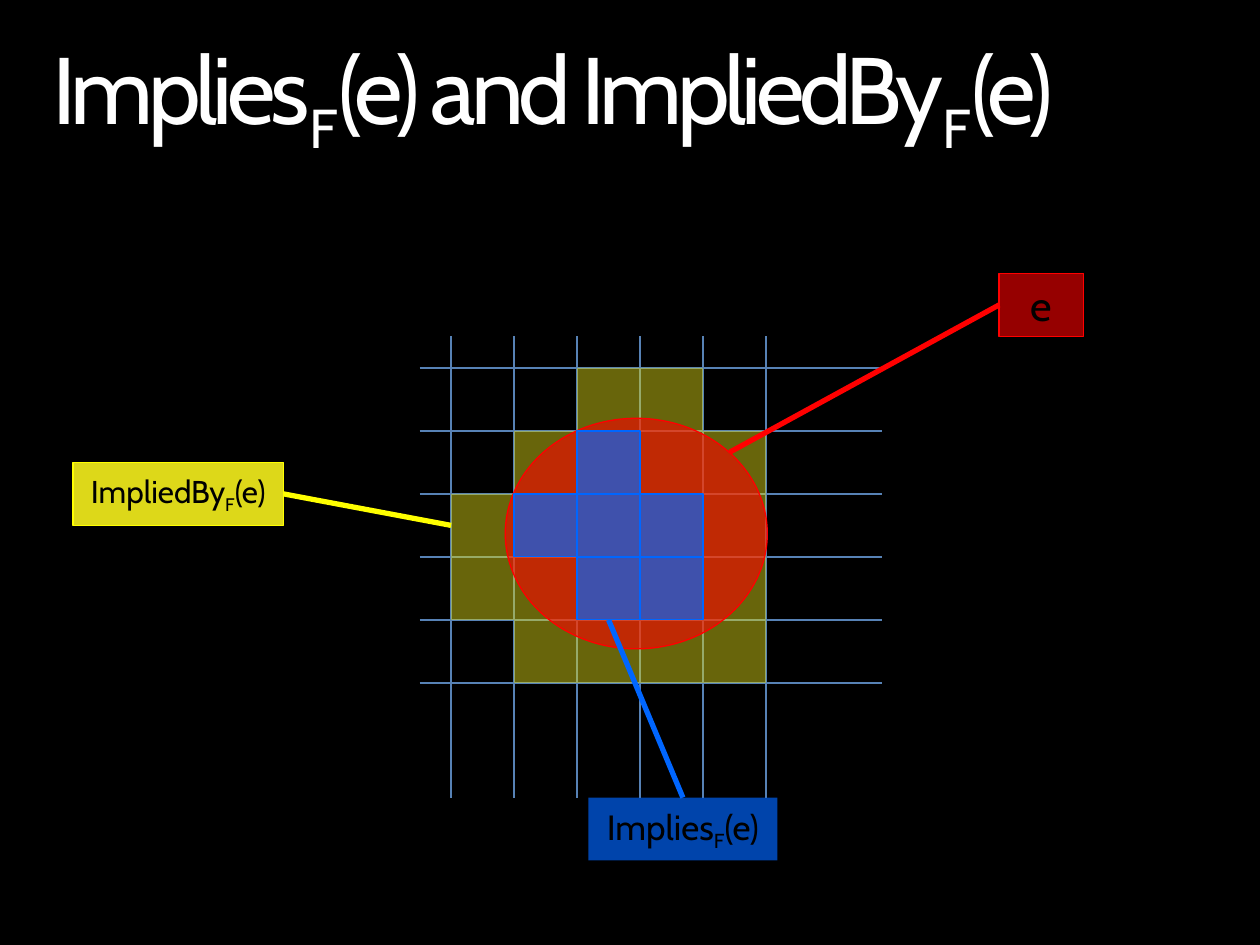
import pptx
import pptx.dml.color
import pptx.enum.shapes
import pptx.enum.text
import pptx.oxml.ns
import pptx.util
from lxml import etree

RGBColor = pptx.dml.color.RGBColor
Inches = pptx.util.Inches
Pt = pptx.util.Pt
Shape = pptx.enum.shapes.MSO_SHAPE

BLACK = RGBColor(0x00, 0x00, 0x00)
WHITE = RGBColor(0xFF, 0xFF, 0xFF)
GRID_BLUE = RGBColor(0x57, 0x82, 0xB5)
OLIVE = RGBColor(0xDD, 0xD8, 0x19)
YELLOW = RGBColor(0xFF, 0xFF, 0x00)
RED = RGBColor(0xFF, 0x00, 0x00)
BLUE = RGBColor(0x00, 0x66, 0xFF)

FONT = "Cabin"
CELL = 0.5
GRID_LEFT, GRID_TOP = 3.58, 2.92  # first grid crossing
GRID_LINES = 6

# Columns covered in each grid row
IMPLIED_BY_CELLS = {0: (2, 3), 1: range(1, 5), 2: range(5), 3: range(5), 4: range(1, 5)}
IMPLIES_CELLS = {1: (2,), 2: (1, 2, 3), 3: (2, 3)}


def add_line(slide, start, end, color, width):
    line = slide.shapes.add_connector(
        pptx.enum.shapes.MSO_CONNECTOR.STRAIGHT, *map(Inches, (*start, *end)))
    line.line.color.rgb = color
    line.line.width = Pt(width)
    etree.SubElement(line._element.spPr, pptx.oxml.ns.qn("a:effectLst"))


def add_filled(slide, kind, box, fill, alpha=100, outline=None):
    shape = slide.shapes.add_shape(kind, *map(Inches, box))
    shape.shadow.inherit = False
    shape.fill.solid()
    shape.fill.fore_color.rgb = fill
    if alpha < 100:
        color = shape._element.spPr.find(".//" + pptx.oxml.ns.qn("a:srgbClr"))
        etree.SubElement(color, pptx.oxml.ns.qn("a:alpha"), val=str(alpha * 1000))
    if outline is None:
        shape.line.fill.background()
    else:
        shape.line.color.rgb = outline
        shape.line.width = Pt(0.75)
    return shape


def write_text(paragraph, parts, size, color, spacing=None):
    """Write the parts in turn; every second part is a subscript."""
    paragraph.font.name = FONT
    paragraph.font.size = Pt(size)
    paragraph.font.color.rgb = color
    for index, part in enumerate(parts):
        run = paragraph.add_run()
        run.text = part
        properties = run._r.get_or_add_rPr()
        if index % 2:
            properties.set("baseline", "-25000")
        if spacing is not None:
            properties.set("spc", str(spacing * 100))


def add_title(slide, box):
    frame = slide.shapes.add_textbox(*map(Inches, box)).text_frame
    frame.word_wrap = True
    frame.margin_left = frame.margin_right = frame.margin_top = frame.margin_bottom = 0
    paragraph = frame.paragraphs[0]
    paragraph.line_spacing = 0.9
    write_text(paragraph, ("Implies", "F", "(e) and ImpliedBy", "F", "(e)"), 54, WHITE, -3)


def add_label(slide, box, parts, size, fill, alpha=100, outline=None):
    frame = add_filled(slide, Shape.RECTANGLE, box, fill, alpha, outline).text_frame
    frame.word_wrap = False
    frame.vertical_anchor = pptx.enum.text.MSO_ANCHOR.MIDDLE
    paragraph = frame.paragraphs[0]
    paragraph.alignment = pptx.enum.text.PP_ALIGN.CENTER
    write_text(paragraph, parts, size, BLACK)


def add_grid(slide, left, top, right, bottom):
    for index in range(GRID_LINES):
        y = GRID_TOP + index * CELL
        add_line(slide, (left, y), (right, y), GRID_BLUE, 0.75)
    for index in range(GRID_LINES):
        x = GRID_LEFT + index * CELL
        add_line(slide, (x, top), (x, bottom), GRID_BLUE, 0.75)


def add_cells(slide, cells, fill, alpha, outline=None):
    for row, columns in cells.items():
        for column in columns:
            box = (GRID_LEFT + column * CELL, GRID_TOP + row * CELL, CELL, CELL)
            add_filled(slide, Shape.RECTANGLE, box, fill, alpha, outline)


def main():
    presentation = pptx.Presentation()
    presentation.slide_width = Inches(10)
    presentation.slide_height = Inches(7.5)
    slide = presentation.slides.add_slide(presentation.slide_layouts[6])
    slide.background.fill.solid()
    slide.background.fill.fore_color.rgb = BLACK

    add_title(slide, (0.42, 0.25, 9.17, 0.82))
    add_grid(slide, 3.33, 2.67, 7, 6.33)

    # Cells that touch e
    add_cells(slide, IMPLIED_BY_CELLS, OLIVE, 47)
    add_label(slide, (0.58, 3.67, 1.67, 0.5), ("ImpliedBy", "F", "(e)"), 18, OLIVE,
              outline=YELLOW)
    add_line(slide, (2.25, 3.92), (3.58, 4.17), YELLOW, 3)

    # The expression e
    add_filled(slide, Shape.OVAL, (4.01, 3.32, 2.08, 1.83), RED, 59, RED)
    add_line(slide, (5.79, 3.59), (7.93, 2.42), RED, 3)
    add_label(slide, (7.93, 2.17, 0.67, 0.5), ("e",), 24, RED, 59, RED)

    # Cells inside e
    add_cells(slide, IMPLIES_CELLS, BLUE, 67, BLUE)
    add_line(slide, (4.83, 4.92), (5.42, 6.33), BLUE, 3)
    add_label(slide, (4.67, 6.33, 1.5, 0.5), ("Implies", "F", "(e)"), 20, BLUE, 67)

    presentation.save("out.pptx")


if __name__ == "__main__":
    main()
